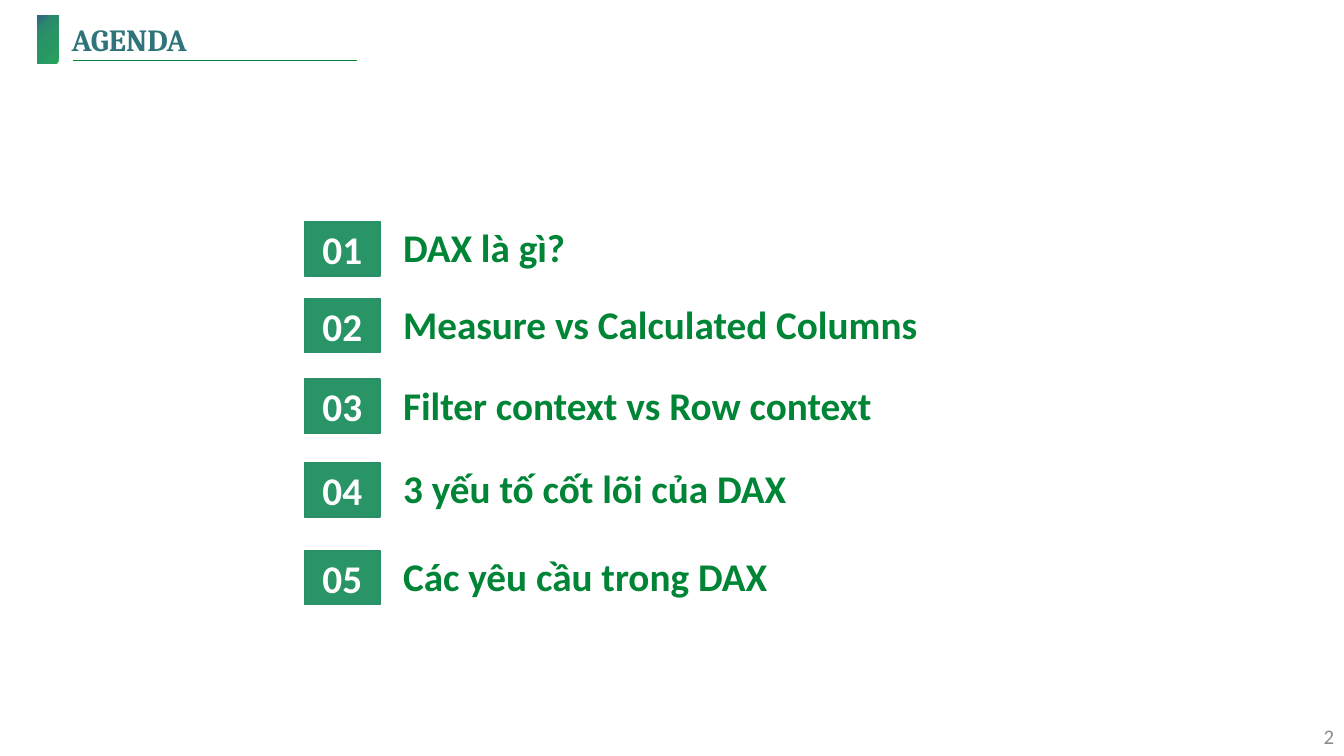
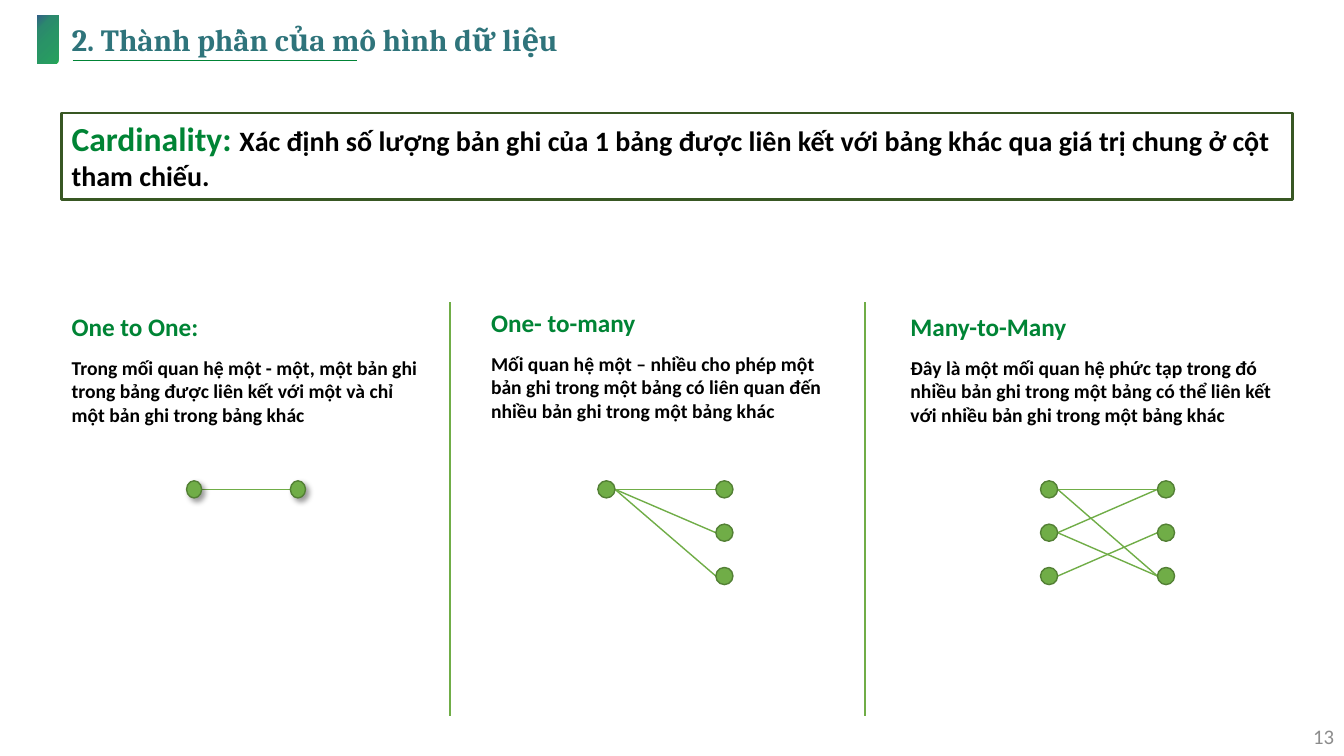
from lxml.etree import SubElement
from pptx import Presentation
from pptx.dml.color import RGBColor
from pptx.enum.shapes import MSO_CONNECTOR as Link, MSO_SHAPE as Preset
from pptx.enum.text import MSO_ANCHOR as Anchor, MSO_AUTO_SIZE as Fit, PP_ALIGN as Align
from pptx.oxml import parse_xml
from pptx.oxml.ns import nsdecls, qn
from pptx.util import Inches, Pt

COLOURS = {
    "green": "008435", "tile": "299465", "tile edge": "2A8F68",
    "dot": "70AD47", "dot edge": "538035", "frame": "385723",
    "text": "000000", "white": "FFFFFF", "grey": "8C8C8C",
}
RGB = {name: RGBColor.from_string(value) for name, value in COLOURS.items()}
GRADIENTS = {
    "band": ({0: "325E89", 11: "2F747B", 23: "2B896D", 53: "299466", 92: "279E5F", 99: "23B350"},
             '<a:path path="circle"><a:fillToRect r="100000" b="100000"/></a:path>'),
    "title": ({0: "325E89", 12: "2F747B", 50: "299466", 82: "279E5F", 100: "23B350"},
              '<a:lin ang="0" scaled="0"/>'),
}
GRADIENT_XML = {
    name: f'<a:gradFill {nsdecls("a")}><a:gsLst>' + "".join(
        f'<a:gs pos="{share * 1000}"><a:srgbClr val="{colour}"/></a:gs>'
        for share, colour in stops.items()) + f"</a:gsLst>{direction}</a:gradFill>"
    for name, (stops, direction) in GRADIENTS.items()
}
SHADOW_XML = (f'<a:outerShdw {nsdecls("a")} blurRad="50800" dist="38100" dir="2700000">'
              '<a:srgbClr val="000000"><a:alpha val="40000"/></a:srgbClr></a:outerShdw>')


def write(para, text, size, colour, bold=True, font="Calibri"):
    """Add a formatted run to the paragraph and return it."""
    span = para.add_run()
    span.text = text
    for name, value in {"size": Pt(size), "bold": bold, "name": font}.items():
        setattr(span.font, name, value)
    span.font.color.rgb = RGB[colour]
    return span


def add_line(shapes, x1, y1, x2, y2, colour, width=1):
    line = shapes.add_connector(Link.STRAIGHT, *map(Inches, (x1, y1, x2, y2)))
    line.line.color.rgb = RGB[colour]
    line.line.width = Pt(width)
    SubElement(line.element.spPr, qn("a:effectLst"))
    return line


deck = Presentation()
deck.slide_width, deck.slide_height = Inches(13.33), Inches(7.5)
TITLE_ONLY, COMPARISON = deck.slide_layouts[5], deck.slide_layouts[4]
MARGIN = 0.61

# Titles and page numbers
pages = []
for layout, heading, number in [
    (TITLE_ONLY, "AGENDA", "2"),
    (COMPARISON, "2. Thành phần của mô hình dữ liệu", "13"),
]:
    page = deck.slides.add_slide(layout)
    pages.append(page)
    title = page.shapes.title
    title.left, title.top, title.width, title.height = map(Inches, (MARGIN, 0.07, 11.19, 0.69))
    frame = title.text_frame
    frame.auto_size, frame.vertical_anchor = Fit.NONE, Anchor.MIDDLE
    para = frame.paragraphs[0]
    para.alignment, para.line_spacing = Align.LEFT, 0.9
    span = write(para, heading, 22, "green", font="Cambria")
    solid = title.element.find(".//" + qn("a:solidFill"))
    solid.getparent().replace(solid, parse_xml(GRADIENT_XML["title"]))

    box = page.shapes.add_textbox(*map(Inches, (10.33, 7.1, 3, 0.4)))
    box.text_frame.word_wrap = True
    box.text_frame.vertical_anchor = Anchor.MIDDLE
    para = box.text_frame.paragraphs[0]
    para.alignment = Align.RIGHT
    write(para, number, 14.8, "grey", bold=False)
agenda, cardinality = pages

# Band and underline, moved to the master
band = agenda.shapes.add_shape(Preset.RECTANGLE, *map(Inches, (0.37, 0.15, 0.21, 0.48)))
band.shadow.inherit = False
band.fill.background()
plain = band.element.spPr.find(qn("a:noFill"))
plain.getparent().replace(plain, parse_xml(GRADIENT_XML["band"]))
band.line.fill.background()
underline = add_line(agenda.shapes, 0.72, 0.6, 3.54, 0.6, "green")
for shape in (underline, band):
    deck.slide_master.shapes.element.append(shape.element)

# Agenda
TOPICS = {
    "DAX là gì?": 2.2,
    "Measure vs Calculated Columns": 2.96,
    "Filter context vs Row context": 3.76,
    "3 yếu tố cốt lõi của DAX": 4.59,
    "Các yêu cầu trong DAX": 5.46,
}
for number, (topic, top) in enumerate(TOPICS.items(), 1):
    row = agenda.shapes.add_group_shape().shapes
    tile = row.add_shape(Preset.RECTANGLE, *map(Inches, (3.02, top, 0.75, 0.54)))
    tile.shadow.inherit = False
    tile.fill.solid()
    tile.fill.fore_color.rgb = RGB["tile"]
    tile.line.color.rgb = RGB["tile edge"]
    tile.line.width = Pt(1)
    tile.text_frame.vertical_anchor = Anchor.MIDDLE
    para = tile.text_frame.paragraphs[0]
    para.alignment = Align.CENTER
    write(para, f"{number:02}", 28, "white")
    box = row.add_textbox(*map(Inches, (3.9, top - 0.03, 5.36, 0.57)))
    box.text_frame.word_wrap = True
    write(box.text_frame.paragraphs[0], topic, 28, "green")

# Cardinality: definition and three columns, each paragraph a list of runs
BODIES = [
    ((MARGIN, 1.12, 12.21, 0.86), [[
        ("Cardinality: ", 24, "green"),
        ("Xác định số lượng bản ghi của 1 bảng được liên kết với bảng khác "
         "qua giá trị chung ở cột tham chiếu.", 20, "text")]]),
    ((MARGIN, 3.04, 3.66, 0.97), [
        [("One to One:", 18, "green")],
        [("Trong mối quan hệ một - một, một bản ghi trong bảng được liên kết "
          "với một và chỉ một bản ghi trong bảng khác", 14, "text")]]),
    ((4.77, 3, 3.66, 1.04), [
        [("One- to-many", 18, "green")],
        [("Mối quan hệ một – nhiều cho phép một bản ghi trong một bảng có liên quan "
          "đến nhiều bản ghi trong một bảng khác", 14, "text")]]),
    ((8.93, 3.04, 3.88, 1.04), [
        [("Many-to-Many", 18, "green")],
        [("Đây là một mối quan hệ phức tạp trong đó nhiều bản ghi trong một bảng "
          "có thể liên kết với nhiều bản ghi trong một bảng khác", 14, "text")]]),
]
bodies = list(cardinality.placeholders)[1:]
for body, (place, paras) in zip(bodies, BODIES):
    body.left, body.top, body.width, body.height = map(Inches, place)
    frame = body.text_frame
    frame.auto_size, frame.vertical_anchor = Fit.NONE, Anchor.TOP
    for index, spans in enumerate(paras):
        para = frame.add_paragraph() if index else frame.paragraphs[0]
        para.space_before, para.line_spacing = Pt(10), 1.0
        for text, size, colour in spans:
            write(para, text, size, colour)
        properties = para._p.get_or_add_pPr()
        properties.set("marL", "0")
        properties.set("indent", "0")
        SubElement(properties, qn("a:buNone"))
bodies[0].line.color.rgb = RGB["frame"]
bodies[0].line.width = Pt(1.5)

# Cardinality: dots joined by links, given as (left row, right row)
FIRST_ROW, ROW_STEP, DOT = 4.77, 0.43, 0.17
DIAGRAMS = [
    (1.85, 2.88, 0.15, True, [(0, 0)]),
    (5.93, 7.1, DOT, False, [(0, 2), (0, 1), (0, 0)]),
    (10.32, 11.48, DOT, False, [(0, 2), (2, 1), (1, 0), (1, 2), (0, 0)]),
]
for left, right, width, shaded, links in DIAGRAMS:
    diagram = cardinality.shapes.add_group_shape().shapes
    middle = FIRST_ROW + DOT / 2
    for start, end in links:
        add_line(diagram, left + width, middle + start * ROW_STEP,
                 right, middle + end * ROW_STEP, "dot")
    dots = {(left, start) for start, _ in links} | {(right, end) for _, end in links}
    for x, row in sorted(dots):
        dot = diagram.add_shape(
            Preset.OVAL, *map(Inches, (x, FIRST_ROW + row * ROW_STEP, width, DOT)))
        dot.shadow.inherit = False
        dot.fill.solid()
        dot.fill.fore_color.rgb = RGB["dot"]
        dot.line.color.rgb = RGB["dot edge"]
        dot.line.width = Pt(1)
        if shaded:
            dot.element.spPr.find(qn("a:effectLst")).append(parse_xml(SHADOW_XML))

for x in (4.46, 8.58):
    add_line(cardinality.shapes, x, 3, x, 7.1, "dot", 1.5)

deck.save("out.pptx")
